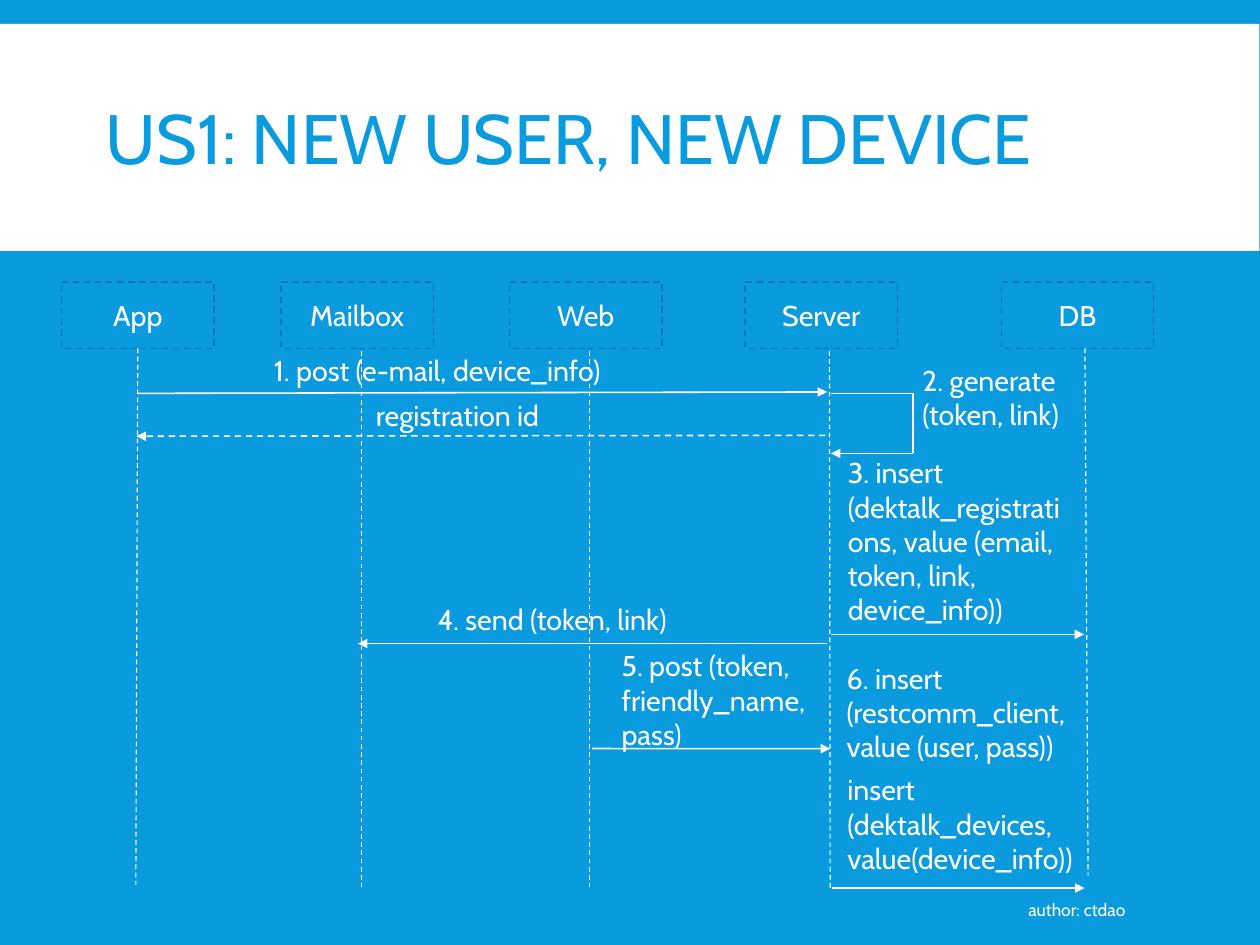
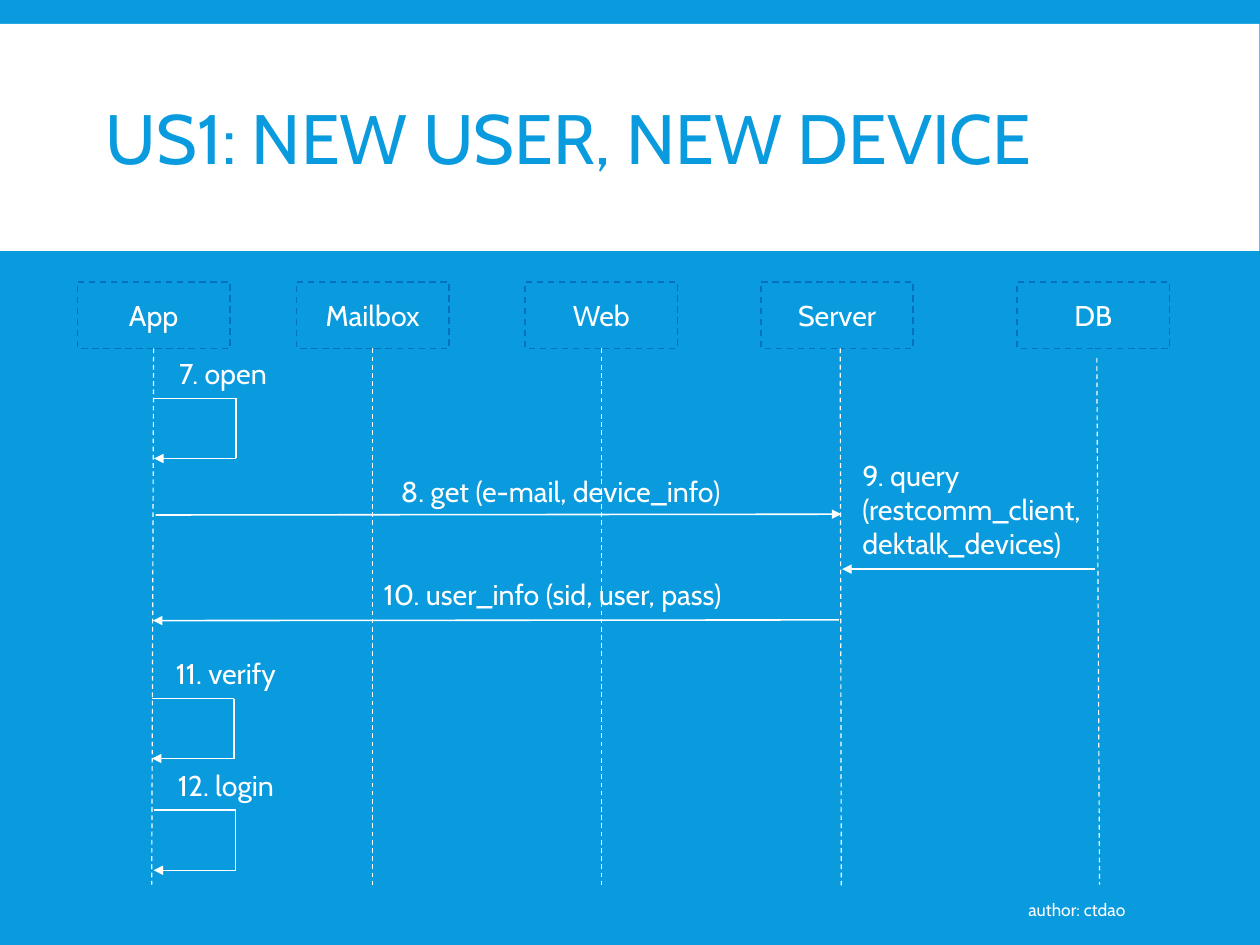
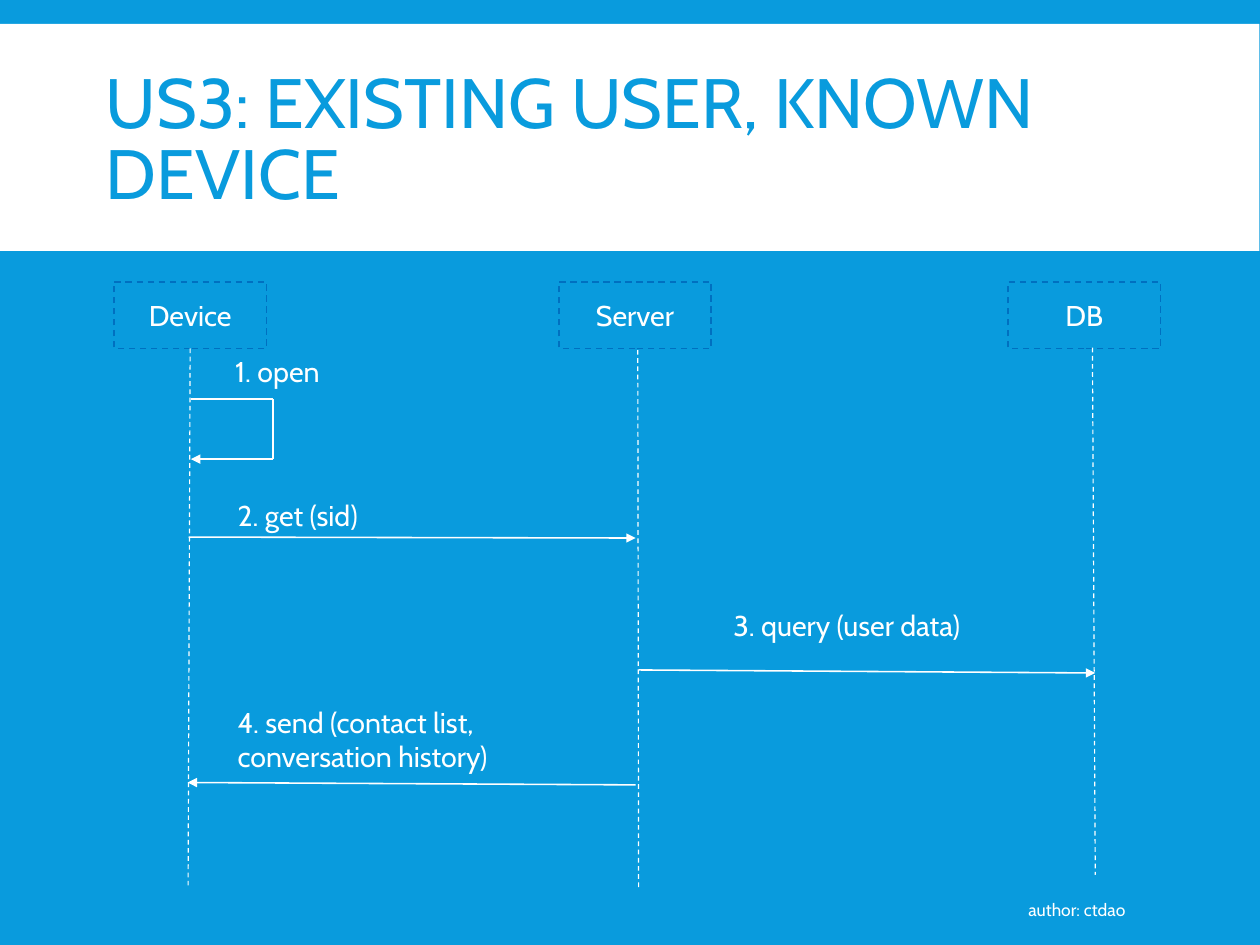
from dataclasses import dataclass

from lxml import etree
from pptx import Presentation
from pptx.dml.color import RGBColor
from pptx.enum.dml import MSO_LINE
from pptx.enum.shapes import MSO_CONNECTOR, MSO_SHAPE
from pptx.enum.text import MSO_ANCHOR, MSO_AUTO_SIZE, PP_ALIGN
from pptx.oxml.ns import qn
from pptx.util import Pt


@dataclass(frozen=True)
class Theme:
    blue: RGBColor = RGBColor(0x09, 0x9B, 0xDD)
    white: RGBColor = RGBColor(0xFF, 0xFF, 0xFF)
    box_line: RGBColor = RGBColor(0x00, 0x70, 0xC0)
    font: str = "Cabin"
    title: float = 44
    label: float = 18
    footer: float = 11
    lifeline: float = 0.75
    message: float = 1


T = Theme()
W, H = 793.75, 595.25
BAND_W = 793.4
BOX_TOP, BOX_W, BOX_H = 177.5, 96, 42
LOOP_W, LOOP_H = 51.7, 37.8

# Lanes: name, box left, lifeline start (None: middle of the box), lifeline end
# Messages: start, end, dashed
# Loops: top left corner of a call to oneself
# Labels: text, left, top, width, lines of room
SLIDES = [
    dict(
        title="US1: NEW USER, NEW DEVICE",
        lanes=[
            ("App", 38.8, None, (85.6, 557.3)),
            ("Mailbox", 177, (227.5, 221), (227.5, 558.5)),
            ("Web", 321, (371.6, 221), (371.6, 558.5)),
            ("Server", 469.3, (522.5, 221), (523, 559.3)),
            ("DB", 630.8, (683.5, 219.5), (685.5, 551.5)),
        ],
        messages=[
            ((87, 247.8), (521.1, 246.9), False),
            ((520, 274.2), (86, 274.8), True),
            ((523.4, 399.6), (683, 399.6), False),
            ((521, 405.4), (225.5, 405.4), False),
            ((373, 471.5), (523, 471.6), False),
            ((524, 559.4), (683.2, 559.4), False),
        ],
        loops=[(523.4, 247.8)],
        labels=[
            ("1. post (e-mail, device_info)", 165.4, 218.7, 224.6, 2),
            ("registration id", 229.7, 247, 224.6, 1),
            ("2. generate (token, link)", 574, 224.8, 126.7, 2),
            ("3. insert (dektalk_registrations, value (email, token, link, "
             "device_info))", 527, 283.2, 157.7, 6),
            ("4. send (token, link)", 268.6, 375.6, 190, 1),
            ("5. post (token, friendly_name, pass)", 384.5, 404.8, 140.4, 3),
            ("6. insert (restcomm_client, value (user, pass))",
             526.3, 412.7, 156.3, 4),
            ("insert (dektalk_devices, value(device_info))",
             526.8, 483, 156.3, 5),
        ],
    ),
    dict(
        title="US1: NEW USER, NEW DEVICE",
        lanes=[
            ("App", 48.8, None, (95.6, 557.3)),
            ("Mailbox", 186.8, None, (234.8, 557.3)),
            ("Web", 330.8, None, (378.8, 557.3)),
            ("Server", 479.3, (529.3, 219.5), (530, 558)),
            ("DB", 640.8, (691, 225.5), (692.7, 557.3)),
        ],
        messages=[
            ((98, 324.4), (530, 323.9), False),
            ((690, 358.5), (530.5, 358.5), False),
            ((528.5, 390.5), (96.4, 390.9), False),
        ],
        loops=[(97.1, 251), (95.8, 440), (96.8, 510.4)],
        labels=[
            ("7. open", 105.7, 220.5, 70.6, 2),
            ("8. get (e-mail, device_info)", 245.5, 295, 224.6, 2),
            ("9. query (restcomm_client, dektalk_devices)",
             536.2, 284.7, 156.3, 4),
            ("10. user_info (sid, user, pass)", 234.6, 360, 375.8, 1),
            ("11. verify", 103.7, 409.5, 86.4, 2),
            ("12. login", 105, 480.2, 87, 1),
        ],
    ),
    dict(
        title="US3: EXISTING USER, KNOWN DEVICE",
        lanes=[
            ("Device", 71.8, None, (118.5, 558)),
            ("Server", 352, (401.8, 220.5), (402.3, 559)),
            ("DB", 635.1, (688.2, 219), (690, 551)),
        ],
        messages=[
            ((118.8, 338.3), (400.5, 338.9), False),
            ((402.5, 422), (690, 423.9), False),
            ((400.5, 494.4), (118.2, 492.9), False),
        ],
        loops=[(120.3, 251.4)],
        labels=[
            ("1. open", 141, 219.5, 70.6, 2),
            ("2. get (sid)", 142.6, 310.1, 224.6, 1),
            ("3. query (user data)", 454.9, 379.3, 183.6, 1),
            ("4. send (contact list, conversation history)",
             142.6, 440.5, 190, 3),
        ],
    ),
]


def set_attrs(obj, values):
    for name, value in values.items():
        setattr(obj, name, value)


def write(tf, text, size, color, para=None, **frame):
    """Fill a text frame with one formatted paragraph."""
    set_attrs(tf, dict(word_wrap=True, **frame))
    p = tf.paragraphs[0]
    set_attrs(p, para or {})
    r = p.add_run()
    r.text = text
    set_attrs(r.font, dict(name=T.font, size=Pt(size), bold=False))
    r.font.color.rgb = color


def add_text(s, text, left, top, width, height, size=T.label, **fmt):
    sp = s.shapes.add_textbox(Pt(left), Pt(top), Pt(width), Pt(height))
    write(sp.text_frame, text, size, T.white, **fmt)


def add_line(s, start, end, width=T.message, dashed=False, arrow=False):
    c = s.shapes.add_connector(MSO_CONNECTOR.STRAIGHT,
                               *(Pt(v) for v in (*start, *end)))
    c.line.color.rgb = T.white
    c.line.width = Pt(width)
    if dashed:
        c.line.dash_style = MSO_LINE.DASH
    props = c.element.spPr
    if arrow:
        etree.SubElement(props.find(qn("a:ln")), qn("a:tailEnd"),
                         type="triangle")
    etree.SubElement(props, qn("a:effectLst"))
    return c


def add_lane(s, name, left, start, end):
    """Participant box with its lifeline."""
    sp = s.shapes.add_shape(MSO_SHAPE.RECTANGLE, Pt(left), Pt(BOX_TOP),
                            Pt(BOX_W), Pt(BOX_H))
    sp.shadow.inherit = False
    sp.fill.background()
    sp.line.color.rgb = T.box_line
    set_attrs(sp.line, dict(width=Pt(1), dash_style=MSO_LINE.DASH))
    write(sp.text_frame, name, T.label, T.white,
          para=dict(alignment=PP_ALIGN.CENTER),
          vertical_anchor=MSO_ANCHOR.MIDDLE)
    middle = (left + BOX_W / 2, BOX_TOP + BOX_H)
    c = add_line(s, start or middle, end, T.lifeline, dashed=True)
    if start is None:
        c.begin_connect(sp, 2)


def add_loop(s, x, y):
    """Call to oneself: out, down and back with an arrowhead."""
    right, bottom = x + LOOP_W, y + LOOP_H
    add_line(s, (x, y), (right, y))
    add_line(s, (right, y), (right, bottom))
    add_line(s, (right, bottom), (x, bottom), arrow=True)


def set_master(prs, s):
    """Background, title place and white band, shared by all slides."""
    master = prs.slide_master
    fill = master.background.fill
    fill.solid()
    fill.fore_color.rgb = T.blue
    set_attrs(master.placeholders[0],
              dict(left=Pt(59.5), top=Pt(24.5), width=Pt(674.6),
                   height=Pt(131)))
    band = s.shapes.add_shape(MSO_SHAPE.RECTANGLE, 0, Pt(15), Pt(BAND_W),
                              Pt(143))
    band.shadow.inherit = False
    band.fill.solid()
    band.fill.fore_color.rgb = T.white
    band.line.fill.background()
    band.element.nvSpPr.cNvPr.set("id", "20")
    master.element.cSld.spTree.insert(2, band.element)


def fill_slide(s, title, lanes, messages, loops, labels):
    write(s.shapes.title.text_frame, title, T.title, T.blue,
          para=dict(alignment=PP_ALIGN.LEFT, line_spacing=0.85),
          vertical_anchor=MSO_ANCHOR.MIDDLE, auto_size=MSO_AUTO_SIZE.NONE)
    add_text(s, "author: ctdao", 363.4, 557.3, 352.8, 31.7, T.footer,
             para=dict(alignment=PP_ALIGN.RIGHT),
             vertical_anchor=MSO_ANCHOR.MIDDLE)
    for lane in lanes:
        add_lane(s, *lane)
    for start, end, dashed in messages:
        add_line(s, start, end, dashed=dashed, arrow=True)
    for corner in loops:
        add_loop(s, *corner)
    for text, left, top, width, lines in labels:
        add_text(s, text, left, top, width, 7.2 + 21.6 * lines,
                 vertical_anchor=MSO_ANCHOR.TOP)


def main():
    prs = Presentation()
    set_attrs(prs, dict(slide_width=Pt(W), slide_height=Pt(H)))
    layout = prs.slide_layouts.get_by_name("Title Only")
    slides = [prs.slides.add_slide(layout) for _ in SLIDES]
    set_master(prs, slides[0])
    for s, content in zip(slides, SLIDES):
        fill_slide(s, **content)
    prs.save("out.pptx")


if __name__ == "__main__":
    main()
